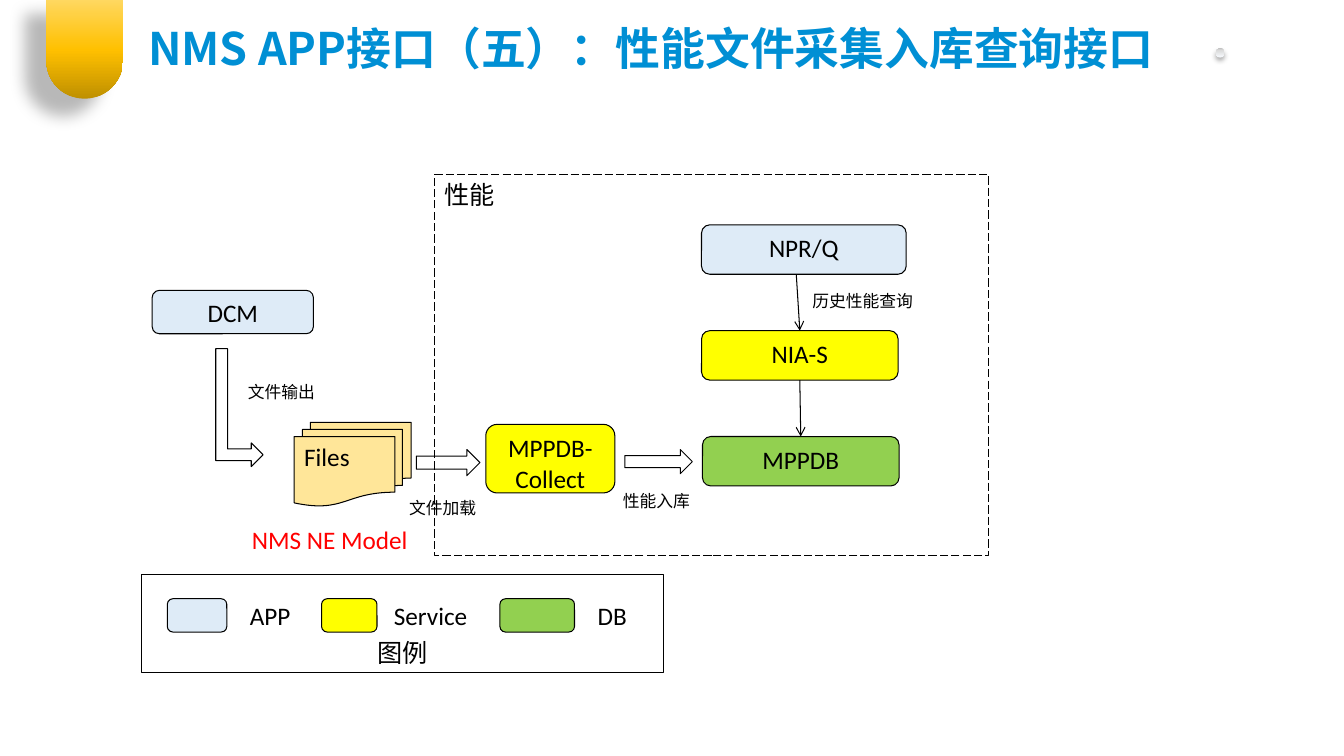
from dataclasses import dataclass

from pptx import Presentation
from pptx.dml.color import RGBColor
from pptx.enum.dml import MSO_LINE
from pptx.enum.shapes import MSO_CONNECTOR, MSO_SHAPE as Geo
from pptx.enum.text import MSO_ANCHOR as Anchor, MSO_AUTO_SIZE as Fit, PP_ALIGN as Align
from pptx.oxml import parse_xml
from pptx.oxml.ns import nsdecls
from pptx.shapes.autoshape import Shape
from pptx.shapes.connector import Connector
from pptx.util import Pt

BLACK, WHITE, RED = "000000", "FFFFFF", "FF0000"
APP, SERVICE, DB, PAPER = "DEEBF7", "FFFF00", "92D050", "FFE699"
LATIN, HAN = "Calibri", "Noto Sans CJK SC"
NS = nsdecls("a")


@dataclass
class Node:
    left: float
    top: float
    width: float
    height: float
    text: str = ""
    fill: str | None = None
    geo: Geo = Geo.ROUNDED_RECTANGLE
    align: Align = Align.CENTER
    anchor: Anchor = Anchor.TOP
    turn: float = 0


@dataclass
class Note:
    left: float
    top: float
    width: float
    text: str
    size: float = 12
    color: str = BLACK


@dataclass
class Glow:
    """Shadow: opacity in percent, blur and distance in points, angle in degrees."""
    alpha: int
    blur: float
    dist: float
    angle: int


def rgb(code: str) -> RGBColor:
    return RGBColor.from_string(code)


def write(shape: Shape, text: str, align: Align, anchor: Anchor, color: str = BLACK,
          size: float = 18, name: str = LATIN, bold: bool = False) -> None:
    frame = shape.text_frame
    for key, value in {"word_wrap": True, "auto_size": Fit.NONE,
                       "vertical_anchor": anchor}.items():
        setattr(frame, key, value)
    para = frame.paragraphs[0]
    para.alignment = align
    run = para.add_run()
    run.text = text
    for key, value in {"name": name, "size": Pt(size), "bold": bold}.items():
        setattr(run.font, key, value)
    run.font.color.rgb = rgb(color)
    run.font._element.append(parse_xml(f'<a:ea {NS} typeface="{HAN}"/>'))


def draw(shapes, node: Node) -> Shape:
    box = map(Pt, (node.left, node.top, node.width, node.height))
    shape = shapes.add_shape(node.geo, *box)
    shape.shadow.inherit = False
    shape.rotation = node.turn
    if node.fill:
        shape.fill.solid()
        shape.fill.fore_color.rgb = rgb(node.fill)
    else:
        shape.fill.background()
    shape.line.color.rgb = rgb(BLACK)
    shape.line.width = Pt(0.75)
    if node.text:
        write(shape, node.text, node.align, node.anchor)
    return shape


def label(shapes, note: Note) -> None:
    height = note.size * 1.2 + 7.2
    box = shapes.add_textbox(*map(Pt, (note.left, note.top, note.width, height)))
    write(box, note.text, Align.LEFT, Anchor.TOP, note.color, note.size)


def shade(shape: Shape, stops: list[tuple[int, str]], angle: int, glow: Glow) -> None:
    """Give a borderless shape a gradient and an outer shadow."""
    shape.line.fill.background()
    marks = "".join(f'<a:gs pos="{pos * 1000}"><a:srgbClr val="{code}"/></a:gs>'
                    for pos, code in stops)
    old = shape._element.spPr.find("{*}noFill")
    old.getparent().replace(old, parse_xml(
        f'<a:gradFill {NS} rotWithShape="1"><a:gsLst>{marks}</a:gsLst>'
        f'<a:lin ang="{angle * 60000}" scaled="0"/></a:gradFill>'))
    effects = shape._element.spPr.find("{*}effectLst")
    effects.append(parse_xml(
        f'<a:outerShdw {NS} blurRad="{Pt(glow.blur)}" dist="{Pt(glow.dist)}" '
        f'dir="{glow.angle * 60000}" algn="ctr" rotWithShape="0"><a:srgbClr val="{BLACK}">'
        f'<a:alpha val="{glow.alpha * 1000}"/></a:srgbClr></a:outerShdw>'))


def arrow(shapes, *ends: float) -> Connector:
    link = shapes.add_connector(MSO_CONNECTOR.STRAIGHT, *map(Pt, ends))
    link.line.color.rgb = rgb(BLACK)
    link.line.width = Pt(0.75)
    link.line._get_or_add_ln().append(parse_xml(f'<a:tailEnd {NS} type="arrow"/>'))
    link._element.spPr.append(parse_xml(f"<a:effectLst {NS}/>"))
    return link


def head(shapes) -> None:
    title = shapes.title
    for key, value in {"left": 98.6, "top": 6.5, "width": 769.7, "height": 55.4}.items():
        setattr(title, key, Pt(value))
    title.fill.solid()
    title.fill.fore_color.rgb = rgb(WHITE)
    write(title, "NMS APP接口（五）：性能文件采集入库查询接口",
          Align.LEFT, Anchor.MIDDLE, "008FD4", 32, HAN, True)

    dot = draw(shapes, Node(868.3, 34.6, 6.5, 6.5, geo=Geo.OVAL, turn=180))
    shade(dot, [(0, "F7FAFD"), (83, "D9D9D9"), (100, "BFBFBF")], 90, Glow(32, 3.5, 2.2, 90))
    tab = draw(shapes, Node(33.1, -2.2, 54.7, 72.7, geo=Geo.ROUND_2_SAME_RECTANGLE))
    tab.adjustments[0], tab.adjustments[1] = 0, 0.5
    shade(tab, [(0, "BF9000"), (48, "FFC000"), (100, "FFD966")], 270, Glow(28, 11.8, 19.7, 141))


def flow(shapes) -> None:
    area = draw(shapes, Node(310.3, 124.6, 396, 272.2, "性能", geo=Geo.RECTANGLE,
                             align=Align.LEFT))
    area.line.dash_style = MSO_LINE.LONG_DASH

    draw(shapes, Node(501.1, 160.6, 146.2, 35.3, "NPR/Q", APP))
    query = draw(shapes, Node(501.1, 236.2, 140.4, 35.3, "NIA-S", SERVICE))
    store = draw(shapes, Node(501.8, 311.8, 140.4, 35.3, "MPPDB", DB))
    for node in (
        Node(108.7, 207.4, 115.2, 31, "DCM", APP),
        Node(347, 303.1, 92.2, 49, "MPPDB-Collect", SERVICE),
        Node(210.2, 301.7, 83.5, 59.8, "Files", PAPER, Geo.FLOWCHART_MULTIDOCUMENT, Align.LEFT),
        Node(128.9, 274.3, 84.2, 33.8, geo=Geo.BENT_UP_ARROW, turn=90),
        Node(297.4, 321.1, 45.4, 18.7, geo=Geo.RIGHT_ARROW),
        Node(446.4, 321.1, 48.2, 17.3, geo=Geo.RIGHT_ARROW),
    ):
        draw(shapes, node)

    arrow(shapes, 568.8, 195.9, 571.3, 236.2).end_connect(query, 0)
    link = arrow(shapes, 571.3, 271.5, 572, 311.8)
    link.begin_connect(query, 2)
    link.end_connect(store, 0)

    for note in (
        Note(573.1, 204.5, 121.7, "历史性能查询"),
        Note(437.8, 347, 93.6, "性能入库"),
        Note(169.9, 269.3, 81.4, "文件输出"),
        Note(285.1, 352.1, 93.6, "文件加载"),
        Note(172.8, 370.8, 162, "NMS NE Model", 18, RED),
    ):
        label(shapes, note)


def legend(shapes) -> None:
    group = shapes.add_group_shape().shapes
    draw(group, Node(100.8, 410.4, 373, 69.8, "图例", WHITE, Geo.RECTANGLE,
                     anchor=Anchor.BOTTOM))
    for left, width, fill, start, span, text in (
        (119.5, 42.5, APP, 171.4, 58.3, "APP"),
        (229.7, 39.6, SERVICE, 274.3, 91.4, "Service"),
        (357.1, 53.3, DB, 419.8, 53.3, "DB"),
    ):
        draw(group, Node(left, 427.7, width, 23.8, fill=fill))
        label(group, Note(start, 425.5, span, text, 18))


def main() -> None:
    deck = Presentation()
    deck.slide_width, deck.slide_height = Pt(960), Pt(540)
    shapes = deck.slides.add_slide(deck.slide_layouts[5]).shapes
    head(shapes)
    flow(shapes)
    legend(shapes)
    deck.save("out.pptx")


if __name__ == "__main__":
    main()
